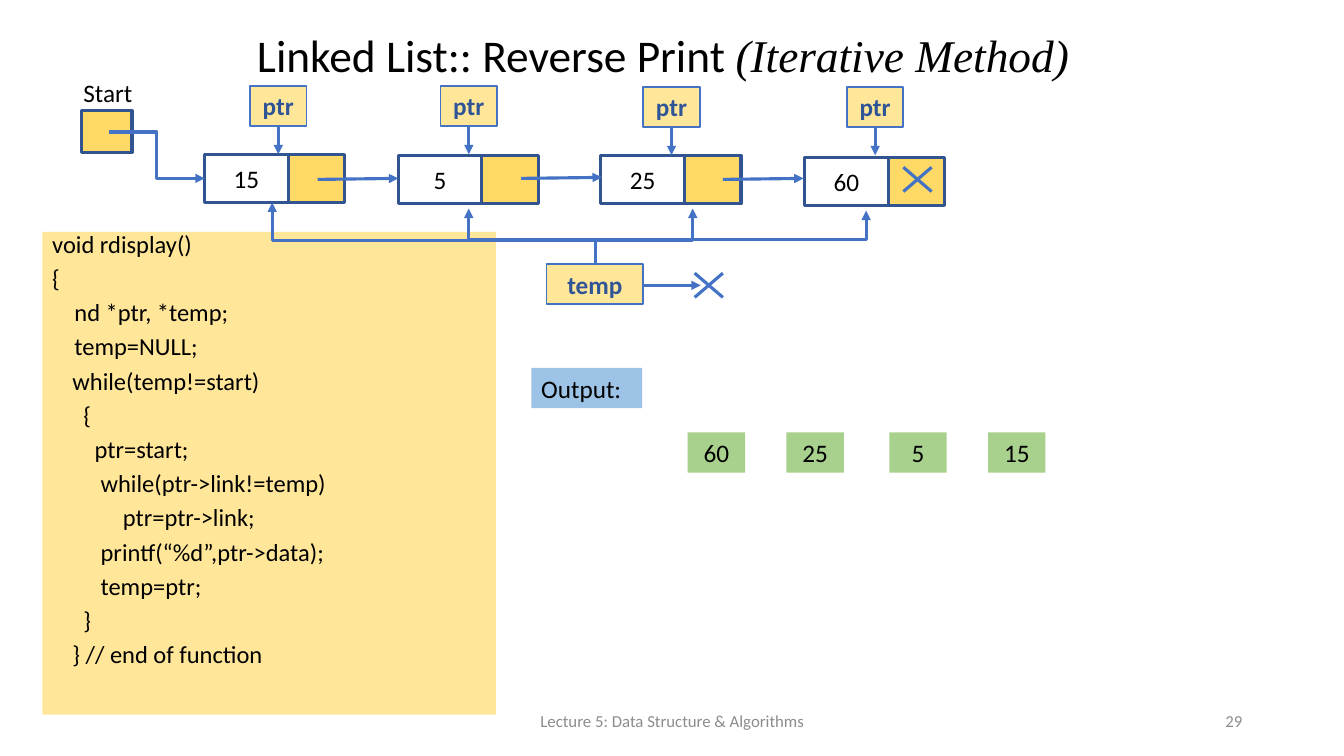
from lxml import etree
from pptx import Presentation
from pptx.dml.color import RGBColor
from pptx.enum import shapes, text
from pptx.oxml.ns import qn
from pptx.util import Inches, Pt

BLUE, NAVY, GOLD, CREAM = "4472C4", "325491", "FFD966", "FFE699"
GREEN, SKY, GREY = "A9D18E", "9DC3E6", "8C8C8C"
LEFT, CENTER, RIGHT = text.PP_ALIGN.LEFT, text.PP_ALIGN.CENTER, text.PP_ALIGN.RIGHT
TOP, MIDDLE = text.MSO_ANCHOR.TOP, text.MSO_ANCHOR.MIDDLE

# value, left, top of each list node
NODES = [("15", 2.03, 1.53), ("5", 3.95, 1.54), ("25", 5.96, 1.54), ("60", 7.98, 1.56)]
DATA_W, LINK_W, NODE_H = 0.83, 0.56, 0.48
# left, top of each ptr label
PTRS = [(2.48, 0.85), (4.37, 0.85), (6.38, 0.86), (8.4, 0.86)]
PTR_W, LABEL_H = 0.56, 0.4
LINKS = [(3.15, 1.78, 3.95, 1.77), (5.17, 1.77, 5.97, 1.76), (7.17, 1.78, 7.97, 1.77)]
NULLS = [(8.96, 1.66), (6.89, 2.71)]
# elbows from temp to each node
TEMP_PATHS = [(5.9, 2.38, 8.59, 2.09), (5.89, 2.39, 6.87, 2.07),
              (5.92, 2.38, 4.65, 2.07), (5.91, 2.39, 2.7, 2.01)]
OUTPUT = [("60", 6.82), ("25", 7.8), ("5", 8.82), ("15", 9.8)]
# indent in inches, line of code
CODE = [
    (0, "void rdisplay()"),
    (0, "{"),
    (0.22, "nd *ptr, *temp;"),
    (0.22, "temp=NULL;"),
    (0.2, "while(temp!=start)"),
    (0.31, "{"),
    (0.42, "ptr=start;"),
    (0.48, "while(ptr->link!=temp)"),
    (0.7, "ptr=ptr->link;"),
    (0.48, "printf(“%d”,ptr->data);"),
    (0.48, "temp=ptr;"),
    (0.31, "}"),
    (0.2, "} // end of function"),
]

prs = Presentation()
prs.slide_width, prs.slide_height = Inches(13.33), Inches(7.5)
s = prs.slides.add_slide(prs.slide_layouts[6])


def rgb(value):
    """Turn a hex string into a colour."""
    return RGBColor.from_string(value)


def style(font, size, color="000000", bold=False, name="Calibri"):
    """Set the look of a font."""
    font.name, font.size, font.bold = name, Pt(size), bold
    font.color.rgb = rgb(color)


def write(sp, words, size=18, color="000000", align=CENTER, bold=False):
    """Put one vertically centred paragraph into a shape."""
    tf = sp.text_frame
    tf.word_wrap, tf.vertical_anchor = True, MIDDLE
    p = tf.paragraphs[0]
    p.text, p.alignment = words, align
    style(p.font, size, color, bold)


def label(words, x, y, w, h, **look):
    """Add a plain text box."""
    sp = s.shapes.add_textbox(Inches(x), Inches(y), Inches(w), Inches(h))
    write(sp, words, **look)
    return sp


def box(x, y, w, h, fill=None, line=None, width=2.25, words="", **look):
    """Add a rectangle with optional fill, outline and text."""
    sp = s.shapes.add_shape(shapes.MSO_SHAPE.RECTANGLE,
                            Inches(x), Inches(y), Inches(w), Inches(h))
    sp.shadow.inherit = False
    if fill:
        sp.fill.solid()
        sp.fill.fore_color.rgb = rgb(fill)
    else:
        sp.fill.background()
    if line:
        sp.line.color.rgb, sp.line.width = rgb(line), Pt(width)
    else:
        sp.line.fill.background()
    if words:
        write(sp, words, **look)
    return sp


def connect(x1, y1, x2, y2, arrow=True, bend=None):
    """Add a line, bent at the given share of its width if bend is set."""
    kind = shapes.MSO_CONNECTOR.ELBOW if bend else shapes.MSO_CONNECTOR.STRAIGHT
    cn = s.shapes.add_connector(kind, Inches(x1), Inches(y1), Inches(x2), Inches(y2))
    cn.line.color.rgb, cn.line.width = rgb(BLUE), Pt(2.25)
    sppr = cn._element.spPr
    etree.SubElement(sppr, qn("a:effectLst"))
    if arrow:
        etree.SubElement(sppr.find(qn("a:ln")), qn("a:tailEnd"), type="triangle")
    if bend:
        guides = sppr.find(qn("a:prstGeom")).find(qn("a:avLst"))
        etree.SubElement(guides, qn("a:gd"), name="adj1", fmla=f"val {int(bend * 100000)}")


def tag(words, x, y, w):
    """Add a bold pointer name in a cream box."""
    box(x, y, w, LABEL_H, CREAM, BLUE, 1.25, words, color="2F5597", bold=True)


# Title and footer
title = label("Linked List:: Reverse Print ", 2.45, 0.22, 8.39, 0.7, size=32.4, align=LEFT)
p = title.text_frame.paragraphs[0]
p.line_spacing = 0.9
r = p.add_run()
r.text = "(Iterative Method)"
style(r.font, 32.4, name="Times New Roman")
r.font.italic = True
label("Lecture 5: Data Structure & Algorithms", 4.42, 6.95, 4.5, 0.4, size=12, color=GREY)
label("29", 9.42, 6.95, 3, 0.4, size=12, color=GREY, align=RIGHT)

# Code panel
tf = box(0.42, 2.3, 4.5, 4.79, CREAM).text_frame
tf.word_wrap, tf.vertical_anchor = True, TOP
for i, (indent, code) in enumerate(CODE):
    p = tf.paragraphs[0] if i == 0 else tf.add_paragraph()
    p.text, p.alignment = code, LEFT
    p.line_spacing, p.space_before = 0.7, Pt(9.75)
    p._p.get_or_add_pPr().set("marL", str(Inches(indent)))
    style(p.font, 17.5)

# Linked list
label("Start", 0.59, 0.72, 0.96, LABEL_H)
box(0.81, 1.1, 0.5, 0.41, GOLD, NAVY)
for value, x, y in NODES:
    box(x, y, DATA_W, NODE_H, None, NAVY, words=value)
    box(x + DATA_W, y, LINK_W, NODE_H, GOLD, NAVY)
connect(1.08, 1.31, 2.03, 1.77, bend=0.5)
for link in LINKS:
    connect(*link)

# Pointers
for x, y in PTRS:
    tag("ptr", x, y, PTR_W)
    mid = x + PTR_W / 2
    connect(mid, y + LABEL_H, mid, y + LABEL_H + 0.28)
tag("temp", 5.42, 2.62, 0.96)
connect(5.91, 2.38, 5.91, 2.62, arrow=False)
connect(6.38, 2.83, 6.95, 2.83)
for route in TEMP_PATHS:
    connect(*route, bend=1)
for x, y in NULLS:
    connect(x, y, x + 0.28, y + 0.24, arrow=False)
    connect(x + 0.28, y, x, y + 0.24, arrow=False)

# Output
box(5.27, 3.65, 1.1, LABEL_H, SKY, words="Output:", align=LEFT)
for value, x in OUTPUT:
    box(x, 4.29, 0.57, LABEL_H, GREEN, words=value)

prs.save("out.pptx")
